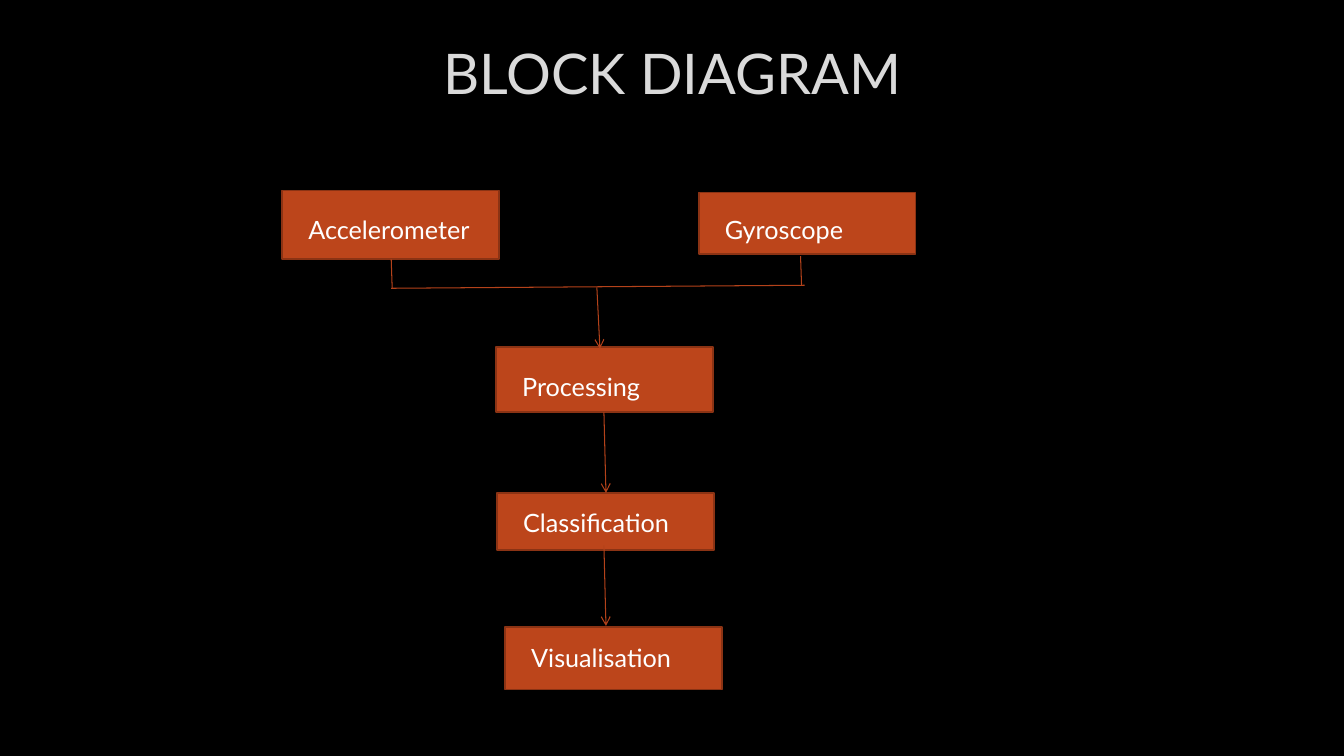
from dataclasses import dataclass

from lxml.etree import SubElement
from pptx import Presentation
from pptx.dml.color import RGBColor
from pptx.enum.shapes import MSO_CONNECTOR, MSO_SHAPE
from pptx.enum.text import MSO_ANCHOR, MSO_AUTO_SIZE, PP_ALIGN
from pptx.oxml.ns import qn
from pptx.util import Inches, Pt


@dataclass(frozen=True)
class Theme:
    font: str = "Lato"
    back: str = "000000"
    title: str = "DADADA"
    text: str = "FFFFFF"
    fill: str = "BC451B"
    edge: str = "8B3314"
    wire: str = "B4421A"
    head: int = 40
    body: int = 18


class Deck:
    """Places items on a grid of 0.1 inch columns and rows."""

    def __init__(self, theme):
        self.theme = theme
        self.show = Presentation()
        self.show.slide_width = Inches(13.33)
        self.show.slide_height = Inches(7.5)
        self.slide = self.show.slides.add_slide(self.show.slide_layouts[5])
        self.paint(self.slide.background.fill, theme.back)

    def grid(self, *cells):
        return [Inches(cell / 10) for cell in cells]

    def paint(self, fill, color):
        fill.solid()
        fill.fore_color.rgb = RGBColor.from_string(color)

    def add_run(self, frame, text, size, color, align):
        line = frame.paragraphs[0]
        line.alignment = align
        run = line.add_run()
        run.text = text
        run.font.name = self.theme.font
        run.font.size = Pt(size)
        run.font.color.rgb = RGBColor.from_string(color)

    def title(self, text, *cells):
        item = self.slide.shapes.title
        item.left, item.top, item.width, item.height = self.grid(*cells)
        item.text_frame.vertical_anchor = MSO_ANCHOR.MIDDLE
        self.add_run(item.text_frame, text, self.theme.head,
                     self.theme.title, PP_ALIGN.CENTER)

    def box(self, *cells):
        item = self.slide.shapes.add_shape(MSO_SHAPE.RECTANGLE, *self.grid(*cells))
        item.shadow.inherit = False
        self.paint(item.fill, self.theme.fill)
        self.paint(item.line.fill, self.theme.edge)
        item.line.width = Pt(1.25)

    def label(self, text, *cells):
        frame = self.slide.shapes.add_textbox(*self.grid(*cells)).text_frame
        frame.word_wrap = True
        frame.auto_size = MSO_AUTO_SIZE.SHAPE_TO_FIT_TEXT
        self.add_run(frame, text, self.theme.body, self.theme.text, PP_ALIGN.LEFT)

    def wire(self, start, end, arrow=False):
        item = self.slide.shapes.add_connector(
            MSO_CONNECTOR.STRAIGHT, *self.grid(*start, *end))
        self.paint(item.line.fill, self.theme.wire)
        item.line.width = Pt(0.75)
        props = item._element.spPr
        if arrow:
            SubElement(props.find(qn("a:ln")), qn("a:tailEnd"), type="arrow")
        SubElement(props, qn("a:effectLst"))


# Block: name, left, top, height, top of its label
BLOCKS = [
    ("Accelerometer", 28, 18.9, 6.8, 20.8),
    ("Gyroscope", 69.3, 19.1, 6.1, 20.8),
    ("Processing", 49.2, 34.4, 6.5, 36.3),
    ("Classification", 49.3, 48.9, 5.7, 49.8),
    ("Visualisation", 50.1, 62.2, 6.2, 63.2),
]
WIDE = 21.5

# Wires that join the two sensors
JOINS = [
    ((38.8, 25.7), (38.9, 28.6)),
    ((79.4, 25.4), (79.5, 28.3)),
    ((38.8, 28.6), (79.8, 28.3)),
]

# Arrows down the chain of steps
STEPS = [
    ((59.2, 28.5), (59.5, 34.6)),
    ((59.9, 40.9), (60.1, 48.9)),
    ((59.9, 54.1), (60.1, 62.1)),
]


def main():
    deck = Deck(Theme())
    deck.title("BLOCK DIAGRAM", 10.1, 3, 113.2, 8.3)

    # Blocks, then their labels
    for name, left, top, high, base in BLOCKS:
        deck.box(left, top, WIDE, high)
        deck.label(name, left + 1.6, base, WIDE - 3, 4)

    # Wires and arrows
    for start, end in JOINS:
        deck.wire(start, end)
    for start, end in STEPS:
        deck.wire(start, end, arrow=True)

    deck.show.save("out.pptx")


if __name__ == "__main__":
    main()
